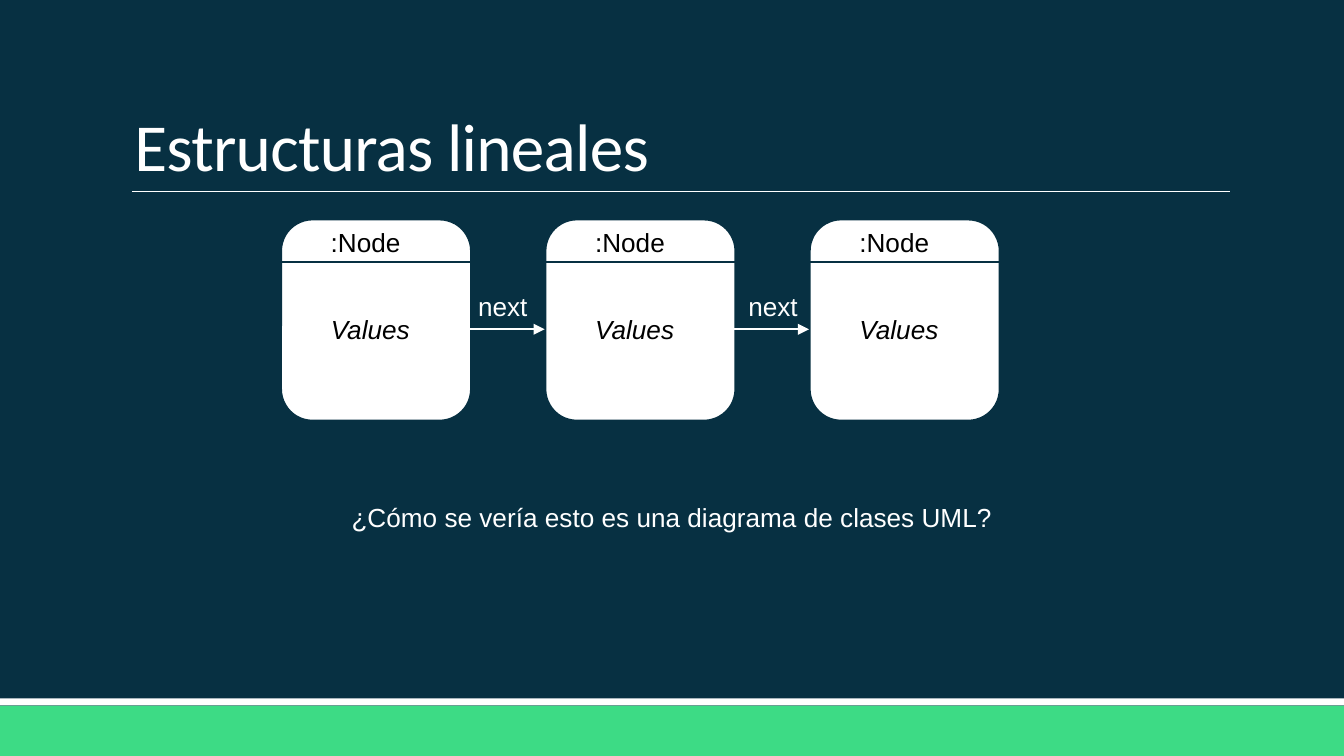
from pptx import Presentation
from pptx.dml.color import RGBColor
from pptx.enum import shapes as kinds, text as txt
from pptx.oxml.ns import qn
from pptx.util import Pt

NAVY, GREEN, WHITE, BLACK = "073042", "3DDB85", "FFFFFF", "000000"
NODE_LEFT, NODE_TOP, NODE_WIDTH, NODE_HEIGHT = 150.5, 117.5, 102, 108
NODE_PITCH = 141.6
ARROW_Y = 176.4
NEXT_LABEL_LEFTS = (249, 393.8)


def color(hex_value):
    return RGBColor.from_string(hex_value)


def format_font(font, **values):
    """Apply font attributes; size is in points and color is a hex string."""
    font.color.rgb = color(values.pop("color"))
    font.size = Pt(values.pop("size"))
    for attribute, value in values.items():
        setattr(font, attribute, value)


def add_box(slide, kind, left, top, width, height, fill, line=None):
    box = slide.shapes.add_shape(kind, Pt(left), Pt(top), Pt(width), Pt(height))
    box.shadow.inherit = False
    box.fill.solid()
    box.fill.fore_color.rgb = color(fill)
    if line:
        box.line.color.rgb = color(line)
        box.line.width = Pt(1.25)
    else:
        box.line.fill.background()


def add_rule(slide, left, right, y, line, weight=1, arrow=False):
    """Draw a horizontal line, optionally with an arrowhead on the right."""
    rule = slide.shapes.add_connector(
        kinds.MSO_CONNECTOR.STRAIGHT, Pt(left), Pt(y), Pt(right), Pt(y))
    rule.line.color.rgb = color(line)
    rule.line.width = Pt(weight)
    properties = rule.line._get_or_add_ln()
    if arrow:
        head = properties.makeelement(qn("a:tailEnd"), {"type": "triangle"})
        properties.append(head)
    properties.addnext(properties.makeelement(qn("a:effectLst"), {}))


def add_label(slide, content, left, top, width, ink, italic=None,
              alignment=txt.PP_ALIGN.LEFT):
    frame = slide.shapes.add_textbox(
        Pt(left), Pt(top), Pt(width), Pt(24.5)).text_frame
    frame.word_wrap = True
    frame.auto_size = txt.MSO_AUTO_SIZE.SHAPE_TO_FIT_TEXT
    paragraph = frame.paragraphs[0]
    paragraph.alignment = alignment
    run = paragraph.add_run()
    run.text = content
    format_font(run.font, name="Arial", size=14, color=ink, italic=italic)


def set_title(slide, content):
    title = slide.shapes.title
    title.left, title.top, title.width, title.height = (
        Pt(length) for length in (64.8, 17.3, 594, 85.7))
    frame = title.text_frame
    frame.auto_size = txt.MSO_AUTO_SIZE.NONE
    frame.vertical_anchor = txt.MSO_ANCHOR.BOTTOM
    paragraph = frame.paragraphs[0]
    paragraph.alignment = txt.PP_ALIGN.LEFT
    paragraph.line_spacing = 0.85
    run = paragraph.add_run()
    run.text = content
    format_font(run.font, name="Calibri", size=36, color=WHITE)
    run.font._element.set("spc", "-40")


def add_node(slide, left):
    add_box(slide, kinds.MSO_SHAPE.ROUNDED_RECTANGLE, left, NODE_TOP,
            NODE_WIDTH, NODE_HEIGHT, WHITE, NAVY)
    add_rule(slide, left, left + NODE_WIDTH, 140.4, NAVY)
    add_label(slide, ":Node", left + 19.6, NODE_TOP, 62.6, BLACK)
    add_label(slide, "Values", left + 19.6, 164.4, 70.6, BLACK, italic=True)


def main():
    deck = Presentation()
    deck.slide_width, deck.slide_height = Pt(720), Pt(405)
    slide = deck.slides.add_slide(deck.slide_layouts[5])
    slide.background.fill.solid()
    slide.background.fill.fore_color.rgb = color(NAVY)

    rectangle = kinds.MSO_SHAPE.RECTANGLE
    add_box(slide, rectangle, 0, 378, 720, 27, GREEN)
    add_box(slide, rectangle, 0, 374.2, 720, 3.8, WHITE)
    add_rule(slide, 70.7, 658.9, 102.6, WHITE, weight=0.5)
    set_title(slide, "Estructuras lineales")
    add_label(slide, "¿Cómo se vería esto es una diagrama de clases UML?",
              154, 265, 412, WHITE, alignment=txt.PP_ALIGN.CENTER)

    for index in range(3):
        add_node(slide, NODE_LEFT + index * NODE_PITCH)
    for index, label_left in enumerate(NEXT_LABEL_LEFTS):
        add_label(slide, "next", label_left, 152, 70.6, WHITE)
        start = 249.2 + index * NODE_PITCH
        add_rule(slide, start, start + 42.6, ARROW_Y, WHITE, arrow=True)

    deck.save("out.pptx")


if __name__ == "__main__":
    main()
